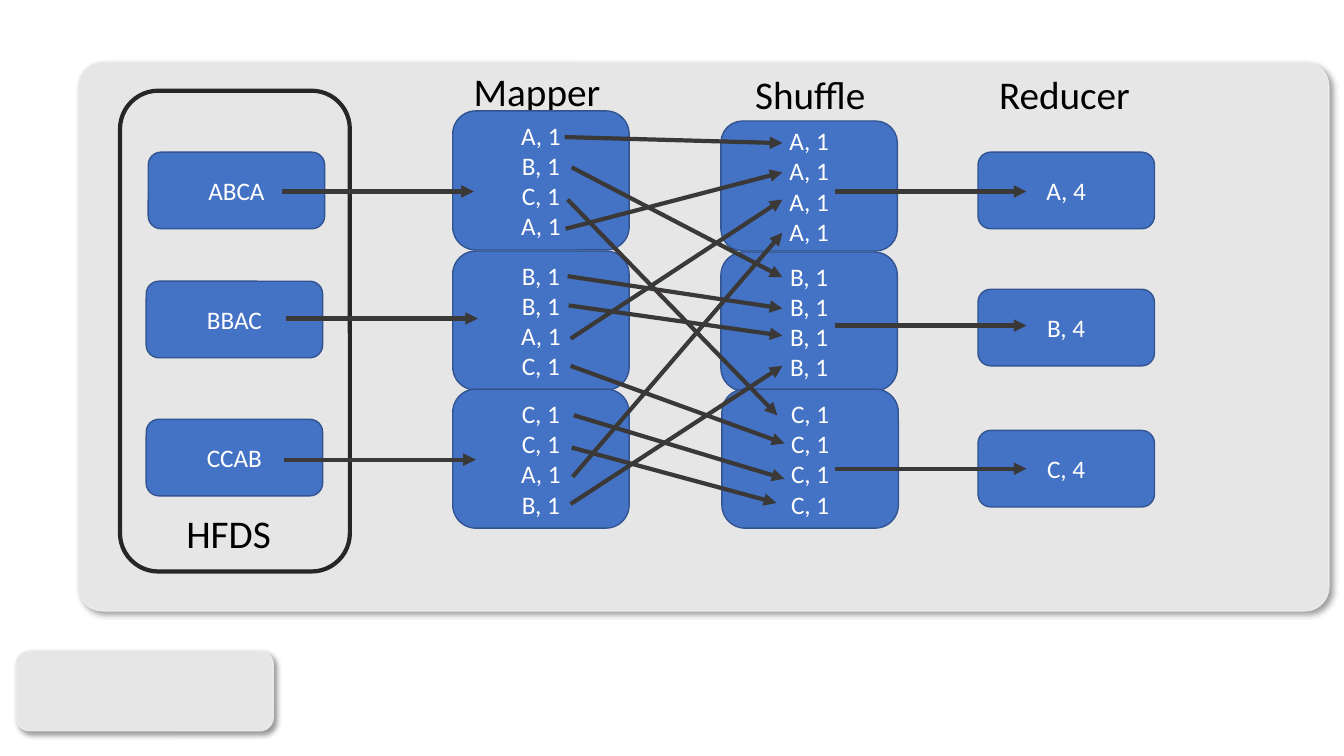
from lxml import etree
from pptx import Presentation
from pptx import util as u
from pptx.dml.color import RGBColor
from pptx.enum import shapes, text
from pptx.oxml import ns

COLOURS = {
    "panel": "E6E6E6",
    "panel_edge": "EAEAEA",
    "shadow": "000000",
    "frame": "262626",
    "box": "4472C4",
    "box_edge": "325491",
    "arrow": "3B3838",
    "label": "000000",
    "box_text": "FFFFFF",
}
FONT = "Calibri"
BOX_WIDTH = 1.75
SMALL_HEIGHT = 0.76
TALL_HEIGHT = 1.38

LABELS = [
    ("HFDS", 1.75, 5, 1.16),
    ("Mapper", 4.6, 0.62, 1.52),
    ("Shuffle", 7.39, 0.65, 1.52),
    ("Reducer", 9.81, 0.65, 1.52),
]
INPUTS = [("ABCA", 1.47, 1.51), ("BBAC", 1.45, 2.79), ("CCAB", 1.45, 4.16)]
MAPPERS = [("ABCA", 1.1), ("BBAC", 2.49), ("CCAB", 3.86)]
SHUFFLES = [("A", 7.15, 1.2, 1.29), ("B", 7.15, 2.5, TALL_HEIGHT), ("C", 7.16, 3.86, TALL_HEIGHT)]
REDUCERS = [("A", 1.51), ("B", 2.87), ("C", 4.27)]

INPUT_ARROWS = [(2.8, 1.9), (2.84, 3.16), (2.82, 4.56)]
REDUCE_ARROWS = [(8.28, 1.9), (8.28, 3.23), (8.28, 4.65)]
FLOW_LENGTH = 1.9
SHUFFLE_ARROWS = [
    (5.6, 1.36, 7.76, 1.42),
    (5.61, 2.27, 7.76, 1.71),
    (5.66, 3.36, 7.76, 1.98),
    (5.68, 4.73, 7.76, 2.31),
    (5.67, 1.66, 7.76, 2.75),
    (5.63, 2.74, 7.76, 3.06),
    (5.64, 3.03, 7.76, 3.33),
    (5.66, 5, 7.76, 3.63),
    (5.63, 1.98, 7.71, 4.12),
    (5.66, 3.63, 7.78, 4.4),
    (5.69, 4.12, 7.78, 4.75),
    (5.67, 4.44, 7.7, 4.99),
]


def colour(name):
    return RGBColor.from_string(COLOURS[name])


def add_rounded(page, left, top, width, height, fill, edge, weight):
    shape = page.shapes.add_shape(
        shapes.MSO_SHAPE.ROUNDED_RECTANGLE,
        u.Inches(left), u.Inches(top), u.Inches(width), u.Inches(height),
    )
    if fill:
        shape.fill.solid()
        shape.fill.fore_color.rgb = colour(fill)
    else:
        shape.fill.background()
    shape.line.color.rgb = colour(edge)
    shape.line.width = u.Pt(weight)
    shape.shadow.inherit = False
    return shape


def add_panel(page, left, top, width, height, rounding):
    panel = add_rounded(page, left, top, width, height, "panel", "panel_edge", 1)
    panel.adjustments[0] = rounding
    effects = panel._element.spPr.find(ns.qn("a:effectLst"))
    shadow = etree.SubElement(
        effects, ns.qn("a:outerShdw"),
        blurRad=str(u.Pt(4)), dist=str(u.Pt(3)), dir="2700000", algn="tl", rotWithShape="0",
    )
    tint = etree.SubElement(shadow, ns.qn("a:srgbClr"), val=COLOURS["shadow"])
    etree.SubElement(tint, ns.qn("a:alpha"), val="40000")


def write_lines(frame, lines, size, ink, alignment):
    frame.text = "\n".join(lines)
    for para in frame.paragraphs:
        para.alignment = alignment
        para.font.name = FONT
        para.font.size = u.Pt(size)
        para.font.color.rgb = colour(ink)


def add_box(page, lines, left, top, height):
    box = add_rounded(page, left, top, BOX_WIDTH, height, "box", "box_edge", 1)
    box.text_frame.vertical_anchor = text.MSO_ANCHOR.MIDDLE
    write_lines(box.text_frame, lines, 18, "box_text", text.PP_ALIGN.CENTER)


def add_label(page, caption, left, top, width):
    label = page.shapes.add_textbox(
        u.Inches(left), u.Inches(top), u.Inches(width), u.Inches(0.57)
    )
    label.text_frame.word_wrap = True
    write_lines(label.text_frame, [caption], 28, "label", text.PP_ALIGN.LEFT)


def add_arrow(page, x1, y1, x2, y2):
    arrow = page.shapes.add_connector(
        shapes.MSO_CONNECTOR.STRAIGHT,
        u.Inches(x1), u.Inches(y1), u.Inches(x2), u.Inches(y2),
    )
    arrow.line.color.rgb = colour("arrow")
    arrow.line.width = u.Pt(3)
    etree.SubElement(arrow.line._get_or_add_ln(), ns.qn("a:tailEnd"), type="triangle")
    etree.SubElement(arrow._element.spPr, ns.qn("a:effectLst"))


def pairs(letters):
    return [f"{letter}, 1" for letter in letters]


def main():
    deck = Presentation()
    deck.slide_width = u.Inches(13.33)
    deck.slide_height = u.Inches(7.5)
    page = deck.slides.add_slide(deck.slide_layouts[6])

    add_panel(page, 0.16, 6.46, 2.55, 0.79, 0.17)
    add_panel(page, 0.78, 0.62, 12.4, 5.44, 0.044)
    add_rounded(page, 1.19, 0.9, 2.28, 4.77, None, "frame", 3)

    for caption, left, top, width in LABELS:
        add_label(page, caption, left, top, width)
    for word, left, top in INPUTS:
        add_box(page, [word], left, top, SMALL_HEIGHT)
    for letters, top in MAPPERS:
        add_box(page, pairs(letters), 4.49, top, TALL_HEIGHT)
    for letter, left, top, height in SHUFFLES:
        add_box(page, pairs(letter * 4), left, top, height)
    for letter, top in REDUCERS:
        add_box(page, [f"{letter}, 4"], 9.7, top, SMALL_HEIGHT)

    for x, y in INPUT_ARROWS + REDUCE_ARROWS:
        add_arrow(page, x, y, x + FLOW_LENGTH, y)
    for ends in SHUFFLE_ARROWS:
        add_arrow(page, *ends)

    deck.save("out.pptx")


if __name__ == "__main__":
    main()
